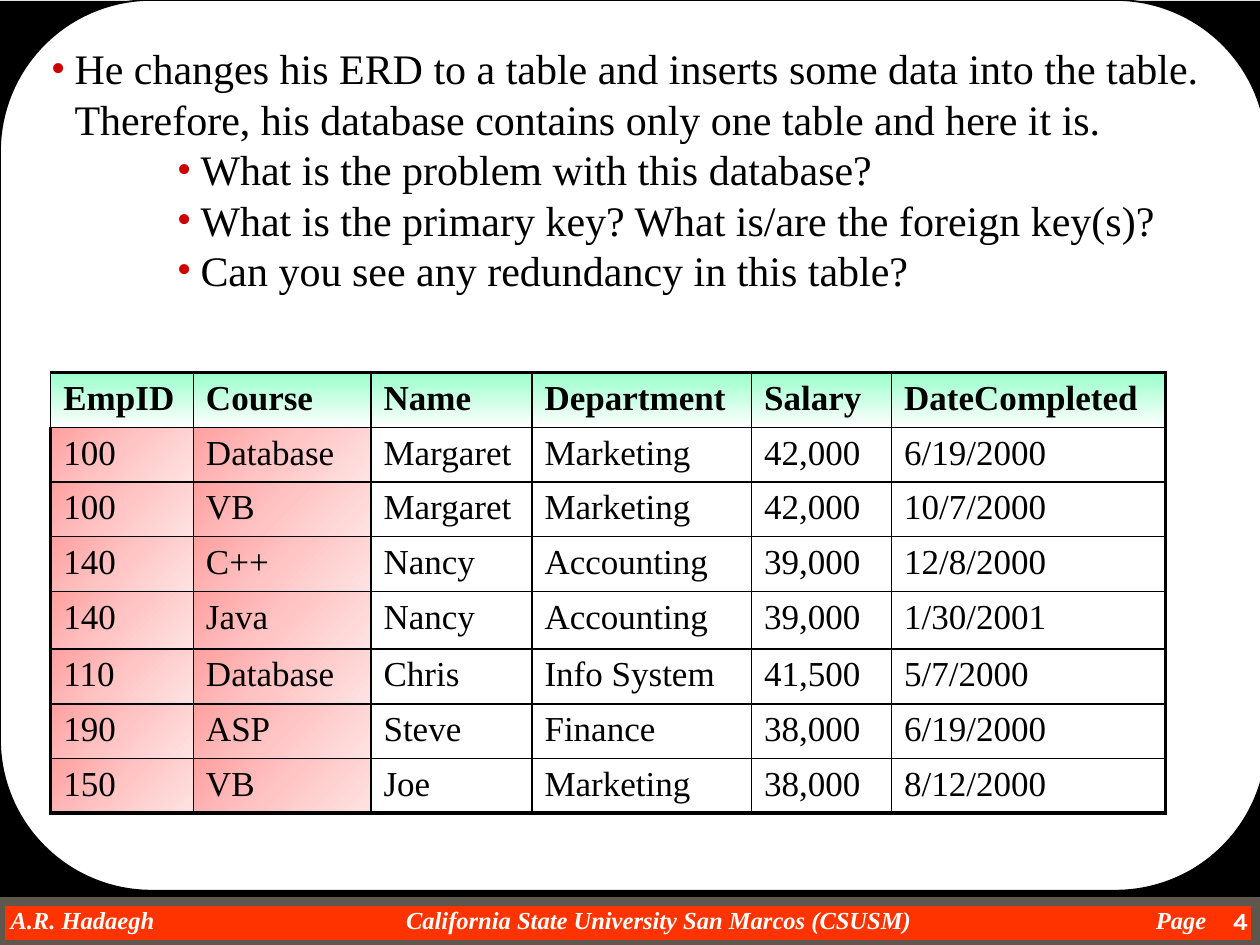
from lxml.etree import SubElement
from pptx import Presentation
from pptx.dml.color import RGBColor
from pptx.enum.shapes import MSO_SHAPE
from pptx.enum.text import MSO_ANCHOR, PP_ALIGN
from pptx.oxml.ns import qn
from pptx.util import Pt

BLACK = RGBColor(0x00, 0x00, 0x00)
WHITE = RGBColor(0xFF, 0xFF, 0xFF)
RED = RGBColor(0xFF, 0x33, 0x00)
GREY = RGBColor(0x5E, 0x57, 0x4E)
DOT = RGBColor(0xCC, 0x00, 0x00)
MINT = RGBColor(0x99, 0xFF, 0xCC)
PINKS = [RGBColor(0xFF, 0xA0, 0xA0), RGBColor(0xFF, 0xC5, 0xC5), RGBColor(0xFF, 0xE3, 0xE3)]

SERIF = "Times New Roman"
THIN, THICK = 1, 2.25

POINTS = [
    (0, "He changes his ERD to a table and inserts some data into the table. "
        "Therefore, his database contains only one table and here it is."),
    (2, "What is the problem with this database?"),
    (2, "What is the primary key? What is/are the foreign key(s)?"),
    (2, "Can you see any redundancy in this table?"),
]
ROWS = [
    ["EmpID", "Course", "Name", "Department", "Salary", "DateCompleted"],
    ["100", "Database", "Margaret", "Marketing", "42,000", "6/19/2000"],
    ["100", "VB", "Margaret", "Marketing", "42,000", "10/7/2000"],
    ["140", "C++", "Nancy", "Accounting", "39,000", "12/8/2000"],
    ["140", "Java", "Nancy", "Accounting", "39,000", "1/30/2001"],
    ["110", "Database", "Chris", "Info System", "41,500", "5/7/2000"],
    ["190", "ASP", "Steve", "Finance", "38,000", "6/19/2000"],
    ["150", "VB", "Joe", "Marketing", "38,000", "8/12/2000"],
]
WIDTHS = [81.5, 101.5, 92, 125.5, 80, 156.5]
HEIGHTS = [29.5, 31, 31, 31, 33, 31, 31, 31]


def add(node, tag, **attrs):
    return SubElement(node, qn("a:" + tag), {k: str(v) for k, v in attrs.items()})


def solid(node, color):
    add(add(node, "solidFill"), "srgbClr", val=color)


class Deck:
    def __init__(self, slide):
        self.slide = slide

    def style(self, para, size, color=BLACK, bold=False, italic=False, face=SERIF):
        for run in para.runs:
            font = run.font
            font.name, font.size = face, Pt(size)
            font.bold, font.italic = bold, italic
            font.color.rgb = color

    def block(self, kind, box, fill, line=None, width=0):
        shape = self.slide.shapes.add_shape(kind, *map(Pt, box))
        shape.shadow.inherit = False
        shape.fill.solid()
        shape.fill.fore_color.rgb = fill
        if line is None:
            shape.line.fill.background()
        else:
            shape.line.color.rgb = line
            shape.line.width = Pt(width)
        return shape

    def text(self, box, words=""):
        frame = self.slide.shapes.add_textbox(*map(Pt, box)).text_frame
        frame.word_wrap = True
        frame.text = words
        return frame

    def footer(self, box, words, stops):
        frame = self.text(box, "\t".join(words))
        frame.margin_left = Pt(6)
        frame.margin_top = frame.margin_right = frame.margin_bottom = 0
        para = frame.paragraphs[0]
        tabs = add(para._p.get_or_add_pPr(), "tabLst")
        for stop in stops:
            add(tabs, "tab", pos=Pt(stop), algn="l")
        self.style(para, 14, WHITE, bold=True, italic=True)

    def number(self, box, words):
        frame = self.text(box, words)
        frame.vertical_anchor = MSO_ANCHOR.MIDDLE
        para = frame.paragraphs[0]
        para.alignment = PP_ALIGN.RIGHT
        self.style(para, 14, WHITE, bold=True, face="Karla")

    def bullets(self, box, points):
        frame = self.text(box)
        for i, (level, words) in enumerate(points):
            para = frame.add_paragraph() if i else frame.paragraphs[0]
            para.text = words
            para.level = level
            props = para._p.get_or_add_pPr()
            props.set("marL", str(Pt(13.5 + 36 * level)))
            props.set("indent", str(Pt(-13.5)))
            add(add(props, "buClr"), "srgbClr", val=DOT)
            add(props, "buFont", typeface=SERIF)
            add(props, "buChar", char="•")
            self.style(para, 24)

    def blend(self, props, colors, radial):
        grad = add(props, "gradFill", rotWithShape=1)
        stops = add(grad, "gsLst")
        for i, color in enumerate(colors):
            stop = add(stops, "gs", pos=100000 * i // (len(colors) - 1))
            add(stop, "srgbClr", val=color)
        if radial:
            add(add(grad, "path", path="circle"), "fillToRect", r=100000, b=100000)
        else:
            add(grad, "lin", ang=5400000, scaled=1)

    def cell(self, cell, words, head, key, edges):
        cell.text = words
        para = cell.text_frame.paragraphs[0]
        add(add(para._p.get_or_add_pPr(), "spcBef"), "spcPct", val=20000)
        self.style(para, 20, bold=head)
        props = cell._tc.get_or_add_tcPr()
        for side, width in edges.items():
            solid(add(props, "ln" + side, w=Pt(width)), BLACK)
        if head:
            self.blend(props, [MINT, WHITE], radial=False)
        elif key:
            self.blend(props, PINKS, radial=True)
        else:
            cell.fill.background()

    def table(self, left, top, rows, widths, heights):
        box = (left, top, sum(widths), sum(heights))
        table = self.slide.shapes.add_table(len(rows), len(widths), *map(Pt, box)).table
        table.first_row = table.horz_banding = False
        for col, width in zip(table.columns, widths):
            col.width = Pt(width)
        for row, height in zip(table.rows, heights):
            row.height = Pt(height)
        for r, row in enumerate(rows):
            for c, words in enumerate(row):
                edges = {
                    "L": THICK if c == 0 and r > 0 else THIN,
                    "R": THICK if c == len(row) - 1 else THIN,
                    "T": THICK if r == 0 else THIN,
                    "B": THICK if r == len(rows) - 1 else THIN,
                }
                self.cell(table.cell(r, c), words, r == 0, c < 2, edges)


def main():
    prs = Presentation()
    prs.slide_width, prs.slide_height = Pt(720), Pt(540)
    deck = Deck(prs.slides.add_slide(prs.slide_layouts[6]))

    # Footer bar
    deck.block(MSO_SHAPE.RECTANGLE, (0, 515, 718, 25), RED, GREY, 6)
    words = ["A.R. Hadaegh", "California State University San Marcos (CSUSM)", "Page"]
    deck.footer((0, 517, 697, 17), words, [226, 654.5])

    # Black backdrop with rounded white panel
    deck.block(MSO_SHAPE.RECTANGLE, (0, 0.5, 720, 512), BLACK)
    panel = deck.block(MSO_SHAPE.ROUNDED_RECTANGLE, (0, 0, 724, 509), WHITE, BLACK, 1)
    panel.adjustments[0] = 0.17

    # Page number, questions and table
    deck.number((666, 512.5, 54, 27.5), "4")
    deck.bullets((22, 21, 672, 151), POINTS)
    deck.table(29, 213, ROWS, WIDTHS, HEIGHTS)

    prs.save("out.pptx")


if __name__ == "__main__":
    main()
